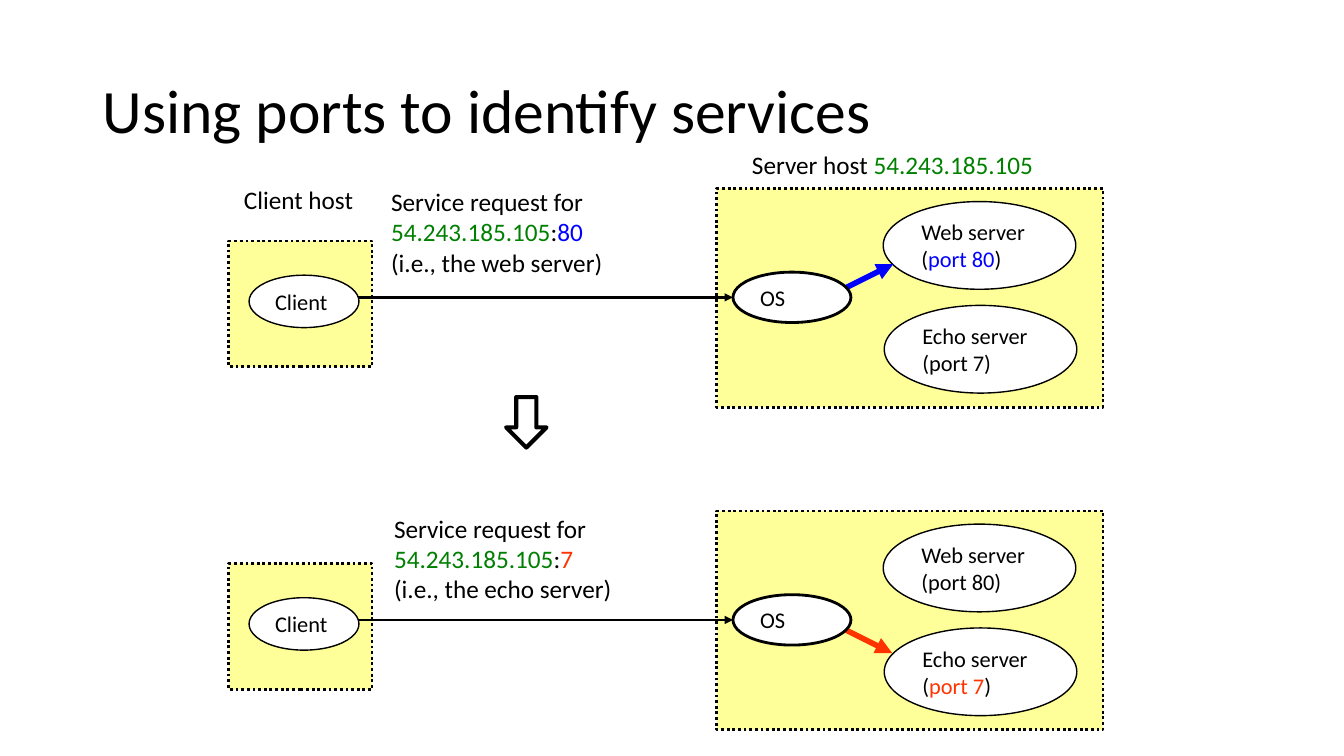
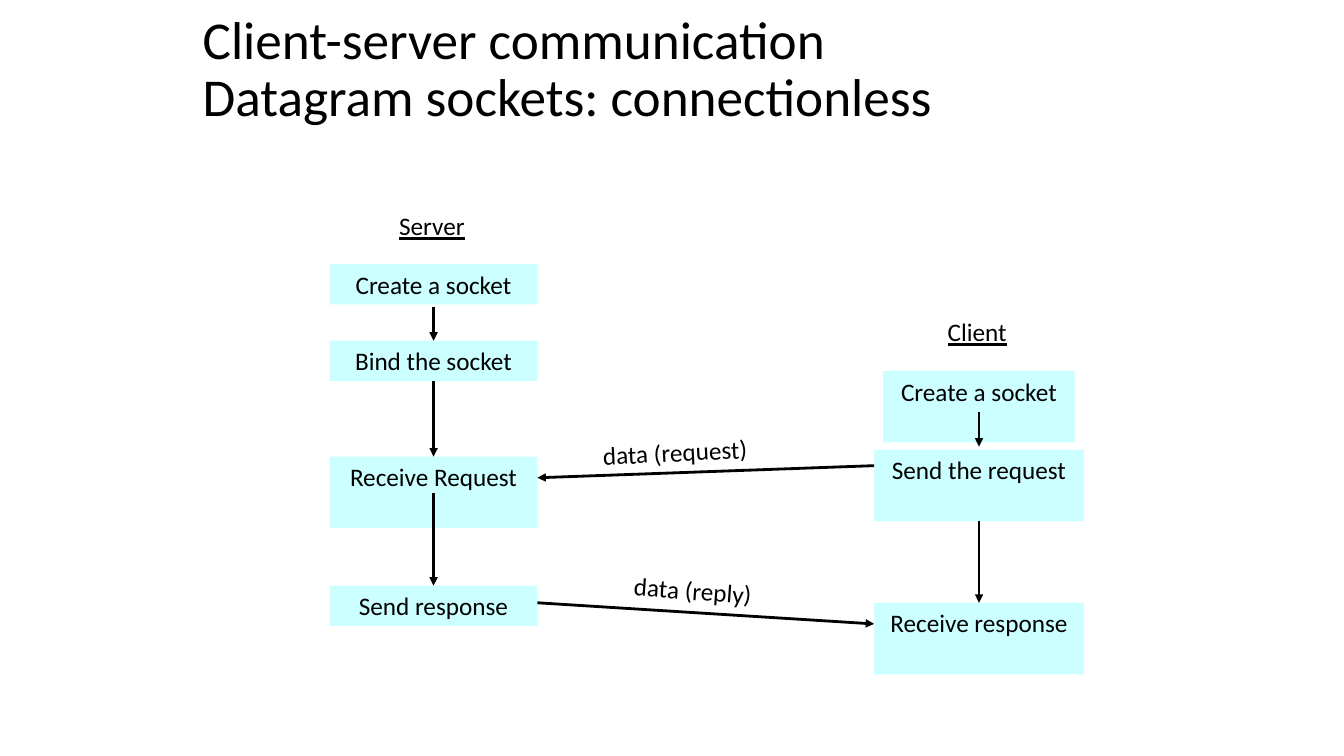
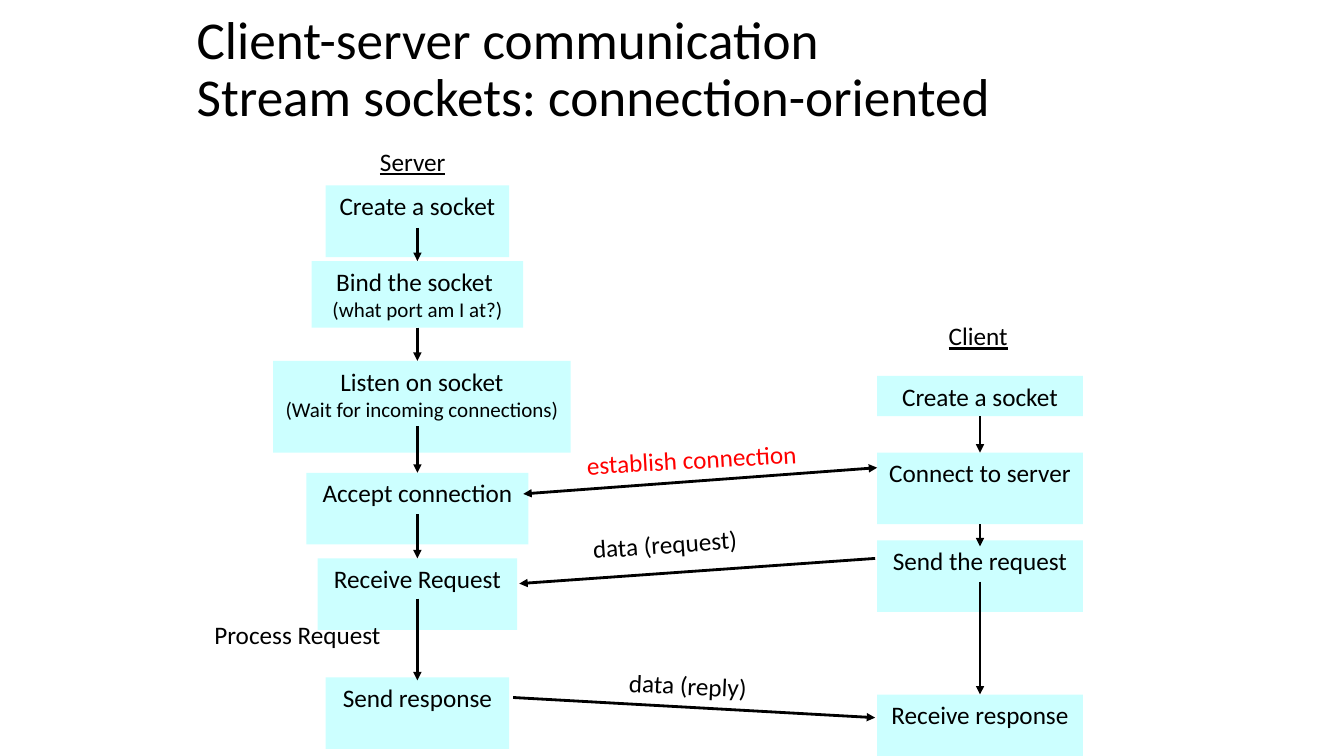
from dataclasses import dataclass

from lxml import etree
from pptx import Presentation
from pptx.dml.color import RGBColor
from pptx.enum.dml import MSO_LINE
from pptx.enum.shapes import MSO_CONNECTOR, MSO_SHAPE
from pptx.enum.text import MSO_ANCHOR, MSO_AUTO_SIZE, PP_ALIGN
from pptx.oxml.ns import qn
from pptx.util import Emu, Pt

RECTANGLE, OVAL, DOWN_ARROW = MSO_SHAPE.RECTANGLE, MSO_SHAPE.OVAL, MSO_SHAPE.DOWN_ARROW
STRAIGHT = MSO_CONNECTOR.STRAIGHT
DOTTED = MSO_LINE.ROUND_DOT
TOP, MIDDLE = MSO_ANCHOR.TOP, MSO_ANCHOR.MIDDLE
LEFT, CENTER = PP_ALIGN.LEFT, PP_ALIGN.CENTER
NO_AUTOFIT = MSO_AUTO_SIZE.NONE


@dataclass(frozen=True)
class Theme:
    font: str = "Calibri"
    ink: str = "000000"
    paper: str = "FFFFFF"
    host: str = "FFFF99"
    step: str = "CCFFFF"
    address: str = "008000"
    web: str = "0000FF"
    echo: str = "FF3300"
    alert: str = "FF0000"
    title: int = 44
    long_title: int = 38
    body: int = 18
    process: int = 16
    note: int = 15


THEME = Theme()
EMU_PER_PX = 9144
SLIDE_SIZE = (1333, 750)
JOIN_TOLERANCE = 1

ADDRESS = ("54.243.185.105", {"colour": THEME.address})
PORTS_TITLE = (["Using ports to identify services"], (92, 40, 1150, 145), THEME.title)
HOST_LABELS = [
    ((232, 178, 139, 40), [["Client host"]]),
    ((736, 143, 332, 40), [["Server host ", ADDRESS]]),
]
HOSTS = [(227, 239, 142, 125), (711, 187, 383, 217)]
CLIENT, SYSTEM = (247, 273, 109, 52), (727, 270, 117, 50)
WEB_SERVER, ECHO_SERVER = (876, 200, 191, 87), (877, 303, 191, 87)
REQUEST_LINE = (352, 295, 727, 295)
NEXT_ARROW = (502, 394, 40, 50)
SCENARIO_PITCH = 320
SCENARIOS = [
    {
        "label": (378, 180, 321, 101), "port": "80", "service": "web",
        "colour": THEME.web, "dispatch": (836, 287, 886, 262),
        "web": ["(", ("port 80", {"colour": THEME.web}), ")"],
        "echo": ["(port 7)"],
    },
    {
        "label": (381, 504, 259, 101), "port": "7", "service": "echo",
        "colour": THEME.echo, "dispatch": (835, 303, 885, 328),
        "web": ["(port 80)"],
        "echo": ["(", ("port 7", {"colour": THEME.echo}), ")"],
    },
]

FLOWS = [
    {
        "title": ["Client-server communication", "Datagram sockets: connectionless"],
        "title_box": (191, 8, 948, 125),
        "headings": [((386, 204, 95, 40), "Server"), ((930, 309, 85, 40), "Client")],
        "steps": [
            ((327, 262, 206, 40), "Create a socket"),
            ((327, 338, 206, 40), "Bind the socket"),
            ((327, 453, 206, 71), "Receive Request"),
            ((327, 581, 206, 40), "Send response"),
            ((876, 368, 190, 71), "Create a socket"),
            ((867, 446, 208, 71), "Send the request"),
            ((867, 598, 208, 71), "Receive response"),
        ],
        "downs": [
            (430, [(305, 338), (378, 453), (489, 581)]),
            (971, [(409, 443), (517, 598)]),
        ],
        "messages": [
            ((867, 462, 533, 474), False, (588, 428, 177, 40), -2.9, "data (request)", THEME.ink),
            ((533, 598, 867, 619), False, (619, 566, 148, 40), 4.1, "data (reply)", THEME.ink),
        ],
        "captions": [],
    },
    {
        "title": ["Client-server communication", "Stream sockets: connection-oriented"],
        "title_box": (185, 8, 967, 125),
        "headings": [((367, 140, 95, 40), "Server"), ((931, 313, 85, 40), "Client")],
        "steps": [
            ((323, 184, 182, 71), "Create a socket"),
            ((309, 259, 210, 66), "Bind the socket ", "(what port am I at?)"),
            ((271, 358, 295, 91), "Listen on socket", "(Wait for incoming connections)"),
            ((304, 469, 220, 71), "Accept connection"),
            ((315, 554, 198, 71), "Receive Request"),
            ((323, 672, 182, 71), "Send response"),
            ((870, 373, 204, 40), "Create a socket"),
            ((870, 449, 204, 71), "Connect to server"),
            ((870, 536, 204, 71), "Send the request"),
            ((870, 689, 204, 61), "Receive response"),
        ],
        "downs": [
            (414, [(226, 259), (325, 358), (423, 469), (510, 554), (594, 675)]),
            (972, [(413, 449), (520, 542), (577, 689)]),
        ],
        "messages": [
            ((870, 464, 519, 490), True, (572, 435, 250, 40), -3.2, "establish connection", THEME.alert),
            ((868, 554, 515, 579), False, (578, 519, 177, 40), -4, "data (request)", THEME.ink),
            ((509, 692, 868, 712), False, (614, 660, 148, 40), 2.7, "data (reply)", THEME.ink),
        ],
        "captions": [((196, 609, 198, 71), "Process Request")],
    },
]


def px(length):
    return Emu(length * EMU_PER_PX)


def emu_box(box):
    return [px(length) for length in box]


def rgb(colour):
    return RGBColor.from_string(colour)


def shifted(box, rise):
    return (box[0], box[1] + rise, *box[2:])


def put_text(shape, lines, size=THEME.body, colour=THEME.ink, align=LEFT,
             anchor=TOP, wrap=True, underline=None, spacing=None):
    frame = shape.text_frame
    frame.word_wrap = wrap
    frame.auto_size = NO_AUTOFIT
    frame.vertical_anchor = anchor
    for index, line in enumerate(lines):
        paragraph = frame.paragraphs[0] if index == 0 else frame.add_paragraph()
        paragraph.alignment = align
        paragraph.line_spacing = spacing
        for item in line:
            text, override = (item, {}) if isinstance(item, str) else item
            run = paragraph.add_run()
            run.text = text
            run.font.name = THEME.font
            run.font.size = Pt(override.get("size", size))
            run.font.color.rgb = rgb(override.get("colour", colour))
            run.font.underline = underline


def add_titled_slide(presentation, title, box, size):
    slide = presentation.slides.add_slide(presentation.slide_layouts[5])
    shape = slide.shapes.title
    shape.left, shape.top, shape.width, shape.height = emu_box(box)
    put_text(shape, [[line] for line in title], size=size, anchor=MIDDLE, spacing=0.9)
    return slide


def add_label(slide, box, lines, rotation=0, **text_format):
    shape = slide.shapes.add_textbox(*emu_box(box))
    shape.rotation = rotation
    put_text(shape, lines, **text_format)


def add_figure(slide, kind, box, fill=None, weight=0, dash=None):
    shape = slide.shapes.add_shape(kind, *emu_box(box))
    shape.shadow.inherit = False
    if fill:
        shape.fill.solid()
        shape.fill.fore_color.rgb = rgb(fill)
    else:
        shape.fill.background()
    if weight:
        shape.line.color.rgb = rgb(THEME.ink)
        shape.line.width = Pt(weight)
        shape.line.dash_style = dash
    else:
        shape.line.fill.background()
    return shape


def add_process(slide, box, lines, weight=1):
    shape = add_figure(slide, OVAL, box, THEME.paper, weight)
    put_text(shape, lines, size=THEME.process, anchor=MIDDLE, wrap=False)


def find_side(point, boxes):
    for index, (left, top, width, height) in enumerate(boxes):
        middle, center = top + height / 2, left + width / 2
        sides = [(center, top), (left, middle), (center, top + height), (left + width, middle)]
        for side, (x, y) in enumerate(sides):
            if max(abs(point[0] - x), abs(point[1] - y)) <= JOIN_TOLERANCE:
                return index, side
    return None


def add_arrow(slide, ends, colour=THEME.ink, weight=2, double=False, boxes=(), shapes=()):
    connector = slide.shapes.add_connector(STRAIGHT, *emu_box(ends))
    connector.line.color.rgb = rgb(colour)
    connector.line.width = Pt(weight)
    line = connector.line._get_or_add_ln()
    for tag in ["a:headEnd", "a:tailEnd"] if double else ["a:tailEnd"]:
        etree.SubElement(line, qn(tag), type="triangle")
    etree.SubElement(connector._element.spPr, qn("a:effectLst"))
    for point, connect in ((ends[:2], connector.begin_connect), (ends[2:], connector.end_connect)):
        match = find_side(point, boxes)
        if match:
            connect(shapes[match[0]], match[1])


def build_ports_slide(presentation):
    slide = add_titled_slide(presentation, *PORTS_TITLE)
    for box, lines in HOST_LABELS:
        add_label(slide, box, lines)
    for index, scenario in enumerate(SCENARIOS):
        rise = index * SCENARIO_PITCH
        x1, y1, x2, y2 = scenario["dispatch"]
        for box in HOSTS:
            add_figure(slide, RECTANGLE, shifted(box, rise), THEME.host, 2, DOTTED)
        add_process(slide, shifted(WEB_SERVER, rise), [["Web server"], scenario["web"]])
        add_process(slide, shifted(ECHO_SERVER, rise), [["Echo server"], scenario["echo"]])
        add_label(slide, scenario["label"], [
            ["Service request for"],
            [ADDRESS, ":", (scenario["port"], {"colour": scenario["colour"]})],
            [f"(i.e., the {scenario['service']} server)"],
        ])
        start_x, start_y, end_x, end_y = REQUEST_LINE
        add_arrow(slide, (start_x, start_y + rise, end_x, end_y + rise))
        add_arrow(slide, (x1, y1 + rise, x2, y2 + rise), scenario["colour"], 4)
        add_process(slide, shifted(SYSTEM, rise), [["OS"]], weight=2)
        add_process(slide, shifted(CLIENT, rise), [["Client"]])
    add_figure(slide, DOWN_ARROW, NEXT_ARROW, weight=3)


def build_flow_slide(presentation, flow):
    slide = add_titled_slide(presentation, flow["title"], flow["title_box"], THEME.long_title)
    for box, heading in flow["headings"]:
        add_label(slide, box, [[heading]], underline=True)
    boxes = [step[0] for step in flow["steps"]]
    shapes = []
    for box, name, *notes in flow["steps"]:
        shape = add_figure(slide, RECTANGLE, box, THEME.step)
        lines = [[name]] + [[(note, {"size": THEME.note})] for note in notes]
        put_text(shape, lines, align=CENTER)
        shapes.append(shape)
    for x, spans in flow["downs"]:
        for start, end in spans:
            add_arrow(slide, (x, start, x, end), boxes=boxes, shapes=shapes)
    for ends, double, box, rotation, text, colour in flow["messages"]:
        add_arrow(slide, ends, double=double, boxes=boxes, shapes=shapes)
        add_label(slide, box, [[text]], rotation, colour=colour)
    for box, text in flow["captions"]:
        add_label(slide, box, [[text]], align=CENTER)


def main():
    presentation = Presentation()
    presentation.slide_width, presentation.slide_height = emu_box(SLIDE_SIZE)
    build_ports_slide(presentation)
    for flow in FLOWS:
        build_flow_slide(presentation, flow)
    presentation.save("out.pptx")


if __name__ == "__main__":
    main()
